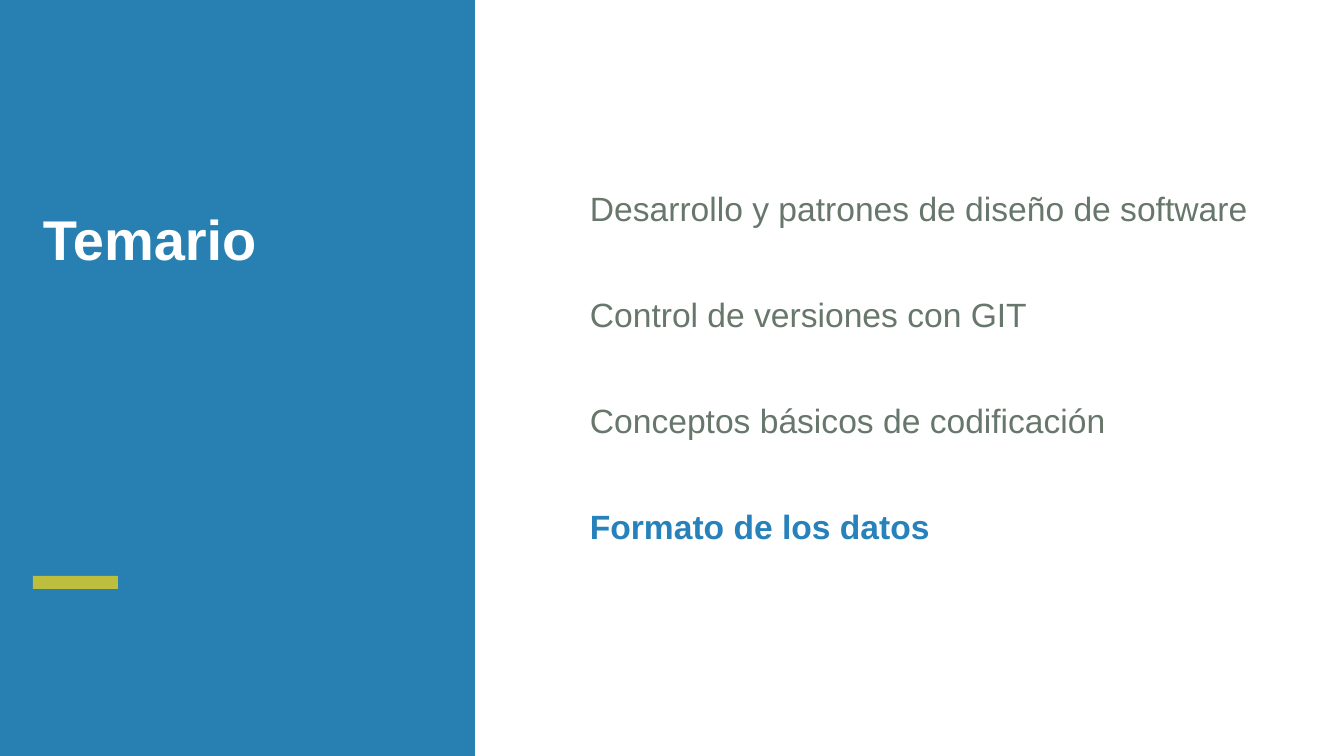
from dataclasses import dataclass

import pptx
import pptx.dml.color
import pptx.enum.shapes
import pptx.enum.text
import pptx.slide
import pptx.util

EMU_PER_PX = 914400 / 100.8
SLIDE_WIDTH, SLIDE_HEIGHT = 1344, 756
BLUE, LIME, WHITE = "2780B1", "BEBE3E", "FFFFFF"
GREY, HIGHLIGHT = "68776C", "2782BB"
TOPIC_TOP, TOPIC_PITCH = 183, 106
TOPICS = [
    "Desarrollo y patrones de diseño de software",
    "Control de versiones con GIT",
    "Conceptos básicos de codificación",
    "Formato de los datos",
]
CURRENT_TOPIC = "Formato de los datos"


@dataclass
class Block:
    left: int
    top: int
    width: int
    height: int
    color: str


@dataclass
class Label:
    text: str
    left: int
    top: int
    width: int
    height: int
    size: int
    color: str
    bold: bool
    indent: int = 0


def px(length: int) -> pptx.util.Emu:
    return pptx.util.Emu(round(length * EMU_PER_PX))


def rgb(color: str) -> pptx.dml.color.RGBColor:
    return pptx.dml.color.RGBColor.from_string(color)


def draw_block(slide: pptx.slide.Slide, block: Block) -> None:
    shape = slide.shapes.add_shape(
        pptx.enum.shapes.MSO_SHAPE.RECTANGLE,
        px(block.left), px(block.top), px(block.width), px(block.height),
    )
    shape.shadow.inherit = False
    shape.fill.solid()
    shape.fill.fore_color.rgb = rgb(block.color)
    shape.line.fill.background()


def draw_label(slide: pptx.slide.Slide, label: Label) -> None:
    shape = slide.shapes.add_textbox(
        px(label.left), px(label.top), px(label.width), px(label.height)
    )
    text_frame = shape.text_frame
    text_frame.word_wrap = True
    text_frame.auto_size = pptx.enum.text.MSO_AUTO_SIZE.SHAPE_TO_FIT_TEXT
    text_frame.text = label.text
    paragraph = text_frame.paragraphs[0]
    if label.indent:
        properties = paragraph._p.get_or_add_pPr()
        properties.set("marL", str(px(label.indent)))
        properties.set("indent", "0")
    font = paragraph.runs[0].font
    font.name = "Arial"
    font.size = pptx.util.Pt(label.size)
    font.bold = label.bold
    font.color.rgb = rgb(label.color)


def main() -> None:
    presentation = pptx.Presentation()
    presentation.slide_width = px(SLIDE_WIDTH)
    presentation.slide_height = px(SLIDE_HEIGHT)
    slide = presentation.slides.add_slide(presentation.slide_layouts[6])

    side_panel = Block(0, 0, 475, SLIDE_HEIGHT, BLUE)
    accent_bar = Block(33, 576, 85, 13, LIME)
    for block in (side_panel, accent_bar):
        draw_block(slide, block)

    draw_label(slide, Label("Temario", 33, 200, 490, 78, 40, WHITE, True))
    for index, topic in enumerate(TOPICS):
        current = topic == CURRENT_TOPIC
        color = HIGHLIGHT if current else GREY
        top = TOPIC_TOP + index * TOPIC_PITCH
        draw_label(slide, Label(topic, 563, top, 748, 50, 24, color, current, 17))

    presentation.save("out.pptx")


if __name__ == "__main__":
    main()
